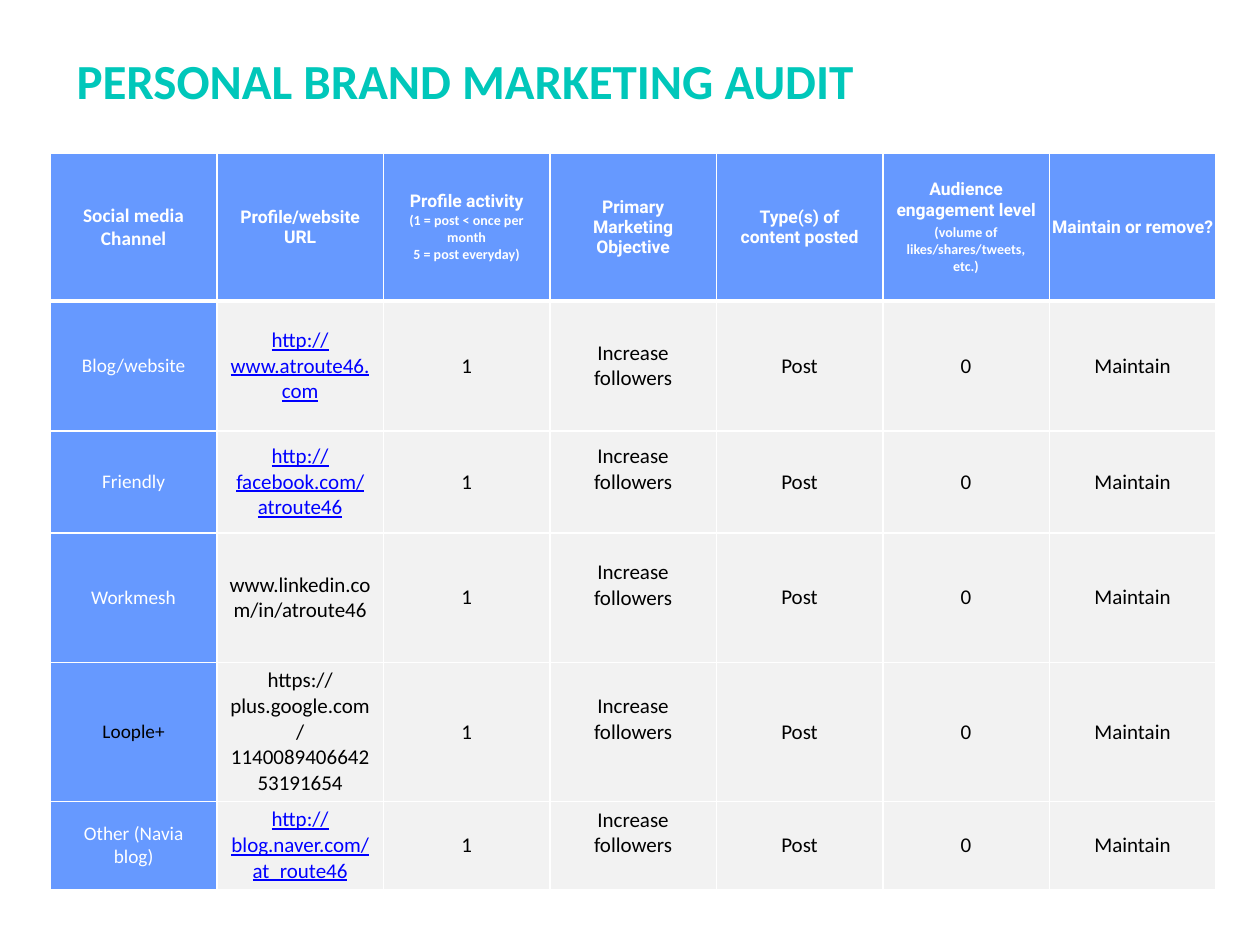
import pptx
import pptx.util
import pptx.dml.color
import pptx.enum.text
import lxml.etree

TITLE = "PERSONAL BRAND MARKETING AUDIT"
HEADERS = [
    ("Social media Channel", []),
    ("Profile/website URL", []),
    ("Profile activity", ["(1 = post < once per month", "5 = post everyday)"]),
    ("Primary Marketing Objective", []),
    ("Type(s) of content posted", []),
    ("Audience engagement level", ["(volume of likes/shares/tweets, etc.)"]),
    ("Maintain or remove?", []),
]
CHANNELS = [
    ("Blog/website", "http://www.atroute46.com", "channel", "link"),
    ("Friendly", "http://facebook.com/atroute46", "channel", "link"),
    ("Workmesh", "www.linkedin.com/in/atroute46", "channel", "body"),
    ("Loople+", "https://plus.google.com/114008940664253191654", "channel_dark", "body"),
    ("Other (Navia blog)", "http://blog.naver.com/at_route46", "channel", "link"),
]
RATINGS = ["1", "Increase followers", "Post", "0", "Maintain"]

THEME = {
    "blue": "6699FF",
    "grey": "F2F2F2",
    "rule": "FFFFFF",
    "title": dict(name="Calibri", size=28, bold=True, color="00C7BA"),
    "lead": dict(name="Calibri", size=11, bold=True, color="FFFFFF"),
    "header": dict(name="Roboto", size=10, bold=True, color="FFFFFF"),
    "note": dict(name="Calibri", size=8, bold=True, color="FFFFFF"),
    "channel": dict(name="Calibri", size=11, bold=False, color="FFFFFF"),
    "channel_dark": dict(name="Calibri", size=11, bold=False, color="000000"),
    "body": dict(name="Calibri", size=12, bold=False, color="000000"),
    "link": dict(name="Calibri", size=12, bold=False, color="0000FF", underline=True),
}
WIDTH, HEIGHT = 10, 7.5
LEFT, TOP, TABLE_W = 0.4, 1.22, 9.25
ROWS = [1.17, 1.03, 0.81, 1.03, 1.1, 0.7]
PAD, LIFT = 0.04, 0.2
THIN, THICK = 1, 3
OBJECTIVE, ENGAGEMENT, DECISION = 3, 5, 6

inch, pt = pptx.util.Inches, pptx.util.Pt
rgb = pptx.dml.color.RGBColor.from_string
MIDDLE = pptx.enum.text.MSO_ANCHOR.MIDDLE
CENTER = pptx.enum.text.PP_ALIGN.CENTER


def write(p, text, style):
    r = p.add_run()
    r.text = text
    for key, value in THEME[style].items():
        if key == "color":
            r.font.color.rgb = rgb(value)
        else:
            setattr(r.font, key, pt(value) if key == "size" else value)


def border(cell, widths):
    tcPr = cell._tc.get_or_add_tcPr()
    for i, (side, width) in enumerate(zip("LRTB", widths)):
        ln = pptx.oxml.parse_xml(
            '<a:ln%s xmlns:a="http://schemas.openxmlformats.org/drawingml/2006/main" w="%d">'
            '<a:solidFill><a:srgbClr val="%s"/></a:solidFill></a:ln%s>'
            % (side, pt(width), THEME["rule"], side))
        tcPr.insert(i, ln)


def fill_cell(cell, row, col, lines):
    side = 0 if col == DECISION else 0.1
    edge = 0 if col == DECISION else PAD
    lift = LIFT if col == OBJECTIVE and row > 1 else 0
    layout = dict(margin_left=inch(side), margin_right=inch(side), margin_top=inch(edge),
                  margin_bottom=inch(edge + lift), vertical_anchor=MIDDLE)
    for key, value in layout.items():
        setattr(cell, key, value)
    cell.fill.solid()
    cell.fill.fore_color.rgb = rgb(THEME["blue" if row == 0 or col == 0 else "grey"])
    border(cell, (THIN, THIN, THICK if row == 1 else THIN, THICK if row == 0 else THIN))
    tf = cell.text_frame
    for i, (text, style) in enumerate(lines):
        p = tf.add_paragraph() if i else tf.paragraphs[0]
        p.alignment = CENTER
        if i and col == ENGAGEMENT:
            p.space_before = pt(2)
        write(p, text, style)


def table_content():
    yield [[(head, "header" if i else "lead")] + [(n, "note") for n in notes]
           for i, (head, notes) in enumerate(HEADERS)]
    for name, url, name_style, url_style in CHANNELS:
        yield [[(name, name_style)], [(url, url_style)]] + [[(v, "body")] for v in RATINGS]


def main():
    prs = pptx.Presentation()
    prs.slide_width, prs.slide_height = inch(WIDTH), inch(HEIGHT)
    s = prs.slides.add_slide(prs.slide_layouts[6])

    tf = s.shapes.add_textbox(inch(0.51), inch(0.35), inch(7.86), inch(0.57)).text_frame
    tf.word_wrap = True
    tf.vertical_anchor = MIDDLE
    write(tf.paragraphs[0], TITLE, "title")

    table = s.shapes.add_table(len(ROWS), len(HEADERS), inch(LEFT), inch(TOP),
                               inch(TABLE_W), inch(sum(ROWS))).table
    table.first_row = table.horz_banding = False
    for column in table.columns:
        column.width = inch(TABLE_W / len(HEADERS))
    for r, (height, cells) in enumerate(zip(ROWS, table_content())):
        table.rows[r].height = inch(height)
        for c, lines in enumerate(cells):
            fill_cell(table.cell(r, c), r, c, lines)
    prs.save("out.pptx")


if __name__ == "__main__":
    main()
